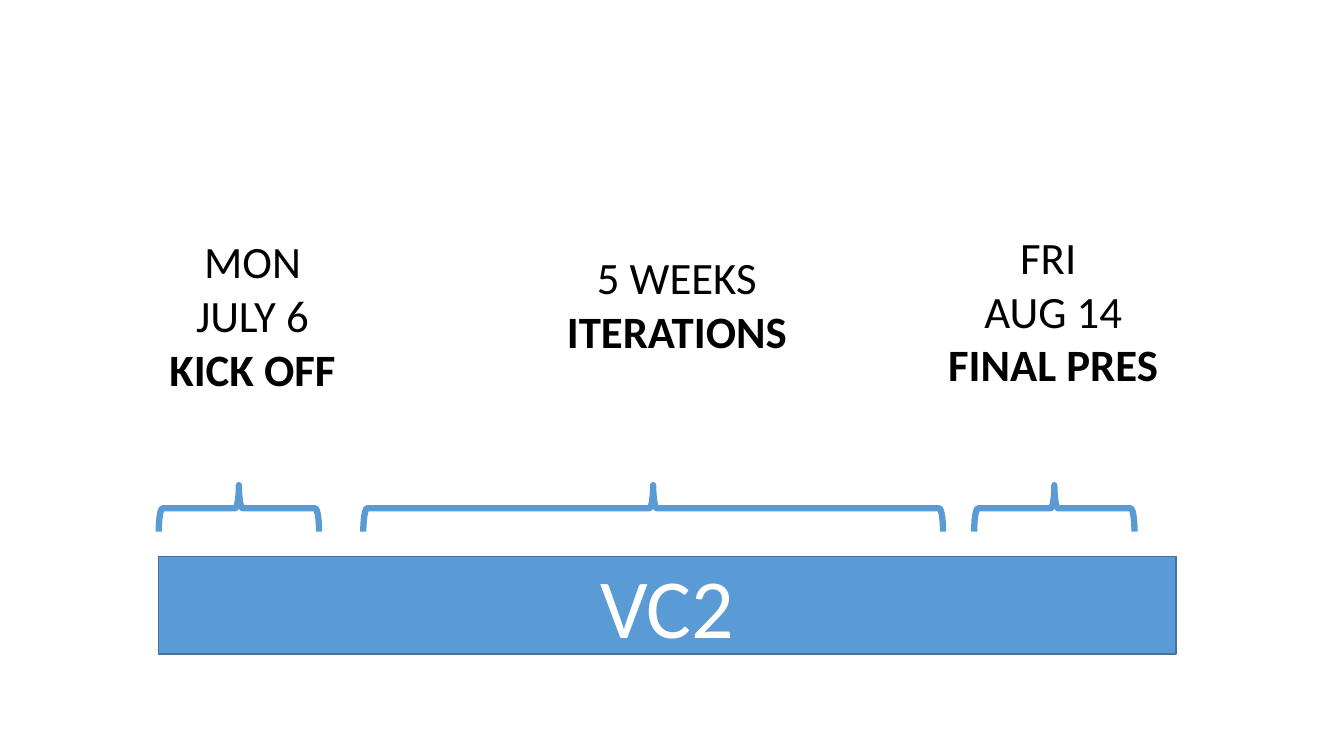
from dataclasses import dataclass

import pptx
import pptx.dml.color
import pptx.enum.shapes
import pptx.enum.text
import pptx.shapes.autoshape
import pptx.slide
import pptx.text.text
import pptx.util
from pptx.util import Cm

FONT = "Calibri"
COLORS = {"blue": "5B9BD5", "outline": "43739E", "text": "000000", "bar_text": "FFFFFF"}
BRACE_CENTER_Y = 12.81
BRACE_DEPTH = 1.17


@dataclass(frozen=True)
class Phase:
    """A labelled stretch of the timeline, in centimetres."""
    lines: tuple[str, ...]
    label_left: float
    label_top: float
    label_width: float
    label_height: float
    brace_center: float
    brace_length: float


PHASES = (
    Phase(("MON", "JULY 6", "KICK OFF"), 3.99, 5.77, 4.75, 4.37, 6.02, 4.04),
    Phase(("5 WEEKS", "ITERATIONS"), 14, 6.17, 6.12, 3, 16.46, 14.61),
    Phase(("FRI ", "AUG 14", "FINAL PRES"), 23.55, 5.66, 5.99, 4.37, 26.57, 4.04),
)


def rgb(name: str) -> pptx.dml.color.RGBColor:
    return pptx.dml.color.RGBColor.from_string(COLORS[name])


def format_paragraph(para: pptx.text.text._Paragraph, size: int, color: str,
                     bold: bool = False) -> None:
    para.alignment = pptx.enum.text.PP_ALIGN.CENTER
    for span in para.runs:
        span.font.name = FONT
        span.font.size = pptx.util.Pt(size)
        span.font.bold = bold
        span.font.color.rgb = rgb(color)


def set_outline(shape: pptx.shapes.autoshape.Shape, color: str, width: float) -> None:
    shape.shadow.inherit = False
    shape.line.color.rgb = rgb(color)
    shape.line.width = pptx.util.Pt(width)


def add_bar(slide: pptx.slide.Slide) -> None:
    bar = slide.shapes.add_shape(
        pptx.enum.shapes.MSO_SHAPE.RECTANGLE, Cm(3.99), Cm(14.02), Cm(25.65), Cm(2.46))
    set_outline(bar, "outline", 1)
    bar.fill.solid()
    bar.fill.fore_color.rgb = rgb("blue")
    bar.text_frame.text = "VC2"
    bar.text_frame.vertical_anchor = pptx.enum.text.MSO_ANCHOR.MIDDLE
    format_paragraph(bar.text_frame.paragraphs[0], 60, "bar_text")


def add_label(slide: pptx.slide.Slide, phase: Phase) -> None:
    box = slide.shapes.add_textbox(Cm(phase.label_left), Cm(phase.label_top),
                                   Cm(phase.label_width), Cm(phase.label_height))
    frame = box.text_frame
    frame.word_wrap = False
    frame.auto_size = pptx.enum.text.MSO_AUTO_SIZE.SHAPE_TO_FIT_TEXT
    frame.text = "\n".join(phase.lines)
    last = len(phase.lines) - 1
    for index, para in enumerate(frame.paragraphs):
        format_paragraph(para, 32, "text", bold=index == last)


def add_brace(slide: pptx.slide.Slide, phase: Phase) -> None:
    """Turn a left brace a quarter about its centre, so that it points up."""
    brace = slide.shapes.add_shape(
        pptx.enum.shapes.MSO_SHAPE.LEFT_BRACE,
        Cm(phase.brace_center - BRACE_DEPTH / 2),
        Cm(BRACE_CENTER_Y - phase.brace_length / 2),
        Cm(BRACE_DEPTH), Cm(phase.brace_length))
    brace.rotation = 90
    brace.fill.background()
    set_outline(brace, "blue", 4.5)


def main() -> None:
    deck = pptx.Presentation()
    deck.slide_width, deck.slide_height = Cm(33.87), Cm(19.05)
    slide = deck.slides.add_slide(deck.slide_layouts.get_by_name("Blank"))
    add_bar(slide)
    for phase in PHASES:
        add_label(slide, phase)
        add_brace(slide, phase)
    deck.save("out.pptx")


if __name__ == "__main__":
    main()
